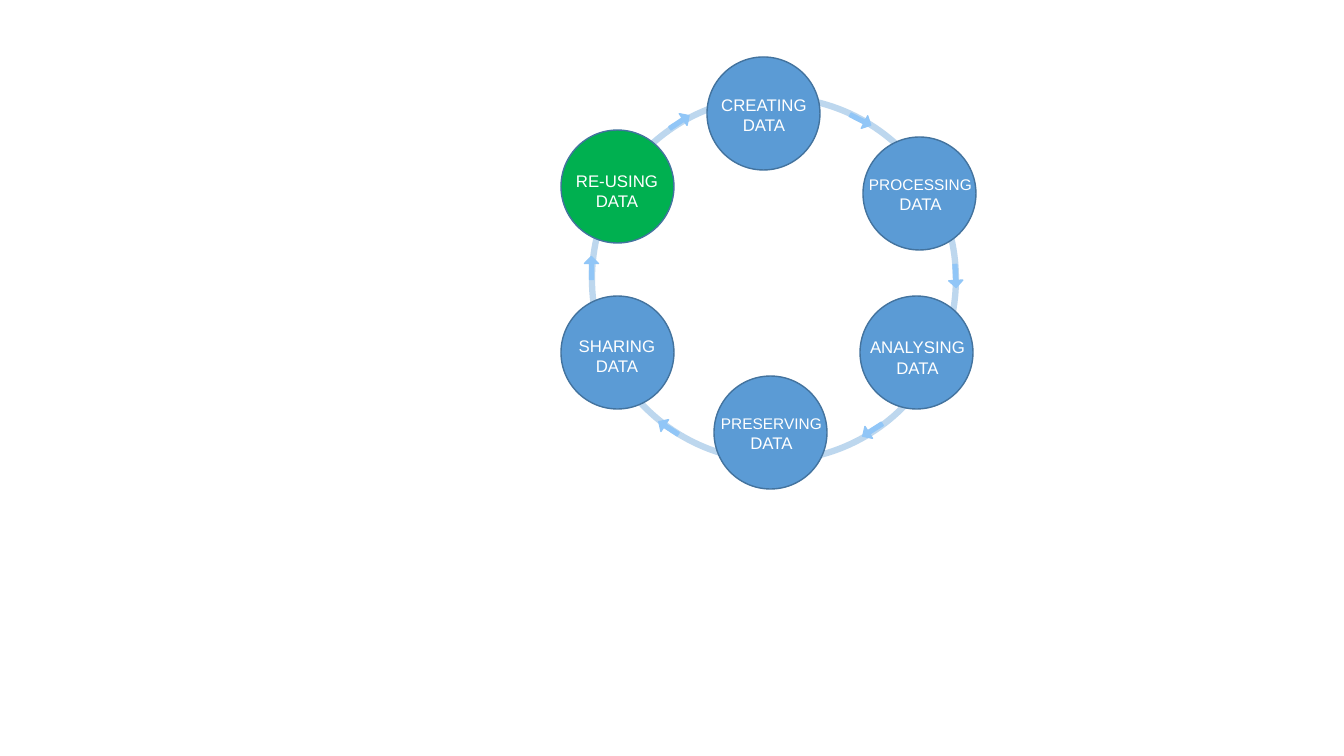
from pptx import Presentation
from pptx.dml.color import RGBColor
from pptx.enum.shapes import MSO_SHAPE
from pptx.enum.text import MSO_AUTO_SIZE, PP_ALIGN
from pptx.util import Emu, Pt

SCALE = 914400 / 100.8
FONT = "Arial"
WHITE, BLUE, GREEN = "FFFFFF", "5B9BD5", "00B050"
OUTLINE, RING, ARROW = "43739E", "BDD7EE", "91C6F7"
DISC = 113
ARROW_W, ARROW_H = 23, 14

# Disc left, top and fill; label left, top, width and height;
# label paragraphs, each a list of (text, size) runs
STAGES = [
    ((707, 57, BLUE), (711, 90, 106, 50), [[("CREATING DATA", 12)]]),
    ((863, 137, BLUE), (853, 169, 135, 50), [[("PROCESSING", 11), (" DATA", 12)]]),
    ((860, 296, BLUE), (853, 329, 129, 54),
     [[("ANALYSING", 12), (" ", 14), ("DATA", 12)]]),
    ((714, 376, BLUE), (702, 408, 139, 50), [[("PRESERVING", 11), (" DATA", 12)]]),
    ((561, 296, BLUE), (564, 331, 106, 50), [[("SHARING", 12)], [("DATA", 12)]]),
    ((561, 130, GREEN), (564, 166, 106, 50), [[("RE-USING DATA", 12)]]),
]

# Left, top and rotation of the arrows, clockwise from the top
ARROWS = [(849, 113, 27), (944, 269, 86.9), (861, 423, 147.5),
          (657, 421, 212.9), (580, 261, 270), (668, 115, 326.5)]


def px(*values):
    """Turn pixel lengths into EMU."""
    return [Emu(round(v * SCALE)) for v in values]


def rgb(value):
    """Turn a hex string into a colour."""
    return RGBColor.from_string(value)


def add_preset(shapes, kind, box, line, width=1, fill=None):
    """Add a preset shape with an outline and an optional fill."""
    sp = shapes.add_shape(kind, *px(*box))
    sp.shadow.inherit = False
    if fill:
        sp.fill.solid()
        sp.fill.fore_color.rgb = rgb(fill)
    else:
        sp.fill.background()
    sp.line.color.rgb = rgb(line)
    sp.line.width = Pt(width)
    return sp


def add_run(p, text, size, color=WHITE, font=FONT):
    """Add a formatted run to a paragraph."""
    r = p.add_run()
    r.text = text
    r.font.size = Pt(size)
    r.font.name = font
    r.font.color.rgb = rgb(color)


def add_label(shapes, box, paragraphs):
    """Add a wrapped, centred text box."""
    tf = shapes.add_textbox(*px(*box)).text_frame
    tf.word_wrap = True
    tf.auto_size = MSO_AUTO_SIZE.SHAPE_TO_FIT_TEXT
    for i, runs in enumerate(paragraphs):
        p = tf.add_paragraph() if i else tf.paragraphs[0]
        p.alignment = PP_ALIGN.CENTER
        for text, size in runs:
            add_run(p, text, size)


def add_stage(shapes, disc, box, paragraphs):
    """Add one stage of the cycle: a disc and its label."""
    left, top, fill = disc
    add_preset(shapes, MSO_SHAPE.OVAL, (left, top, DISC, DISC), OUTLINE, fill=fill)
    add_label(shapes, box, paragraphs)


def add_arrow(shapes, left, top, rotation):
    """Add a small arrow turned along the ring."""
    sp = add_preset(shapes, MSO_SHAPE.RIGHT_ARROW,
                    (left, top, ARROW_W, ARROW_H), ARROW, fill=ARROW)
    sp.adjustments[0] = 0.28
    sp.adjustments[1] = 0.5
    sp.rotation = rotation


def main():
    """Build the data life cycle slide."""
    prs = Presentation()
    prs.slide_width, prs.slide_height = px(1344, 756)
    s = prs.slides.add_slide(prs.slide_layouts[6])
    shapes = s.shapes.add_group_shape().shapes
    add_preset(shapes, MSO_SHAPE.OVAL, (592, 97, 364, 364), RING, width=4.5)
    for stage in STAGES:
        add_stage(shapes, *stage)
    for arrow in ARROWS:
        add_arrow(shapes, *arrow)
    prs.save("out.pptx")


main()
